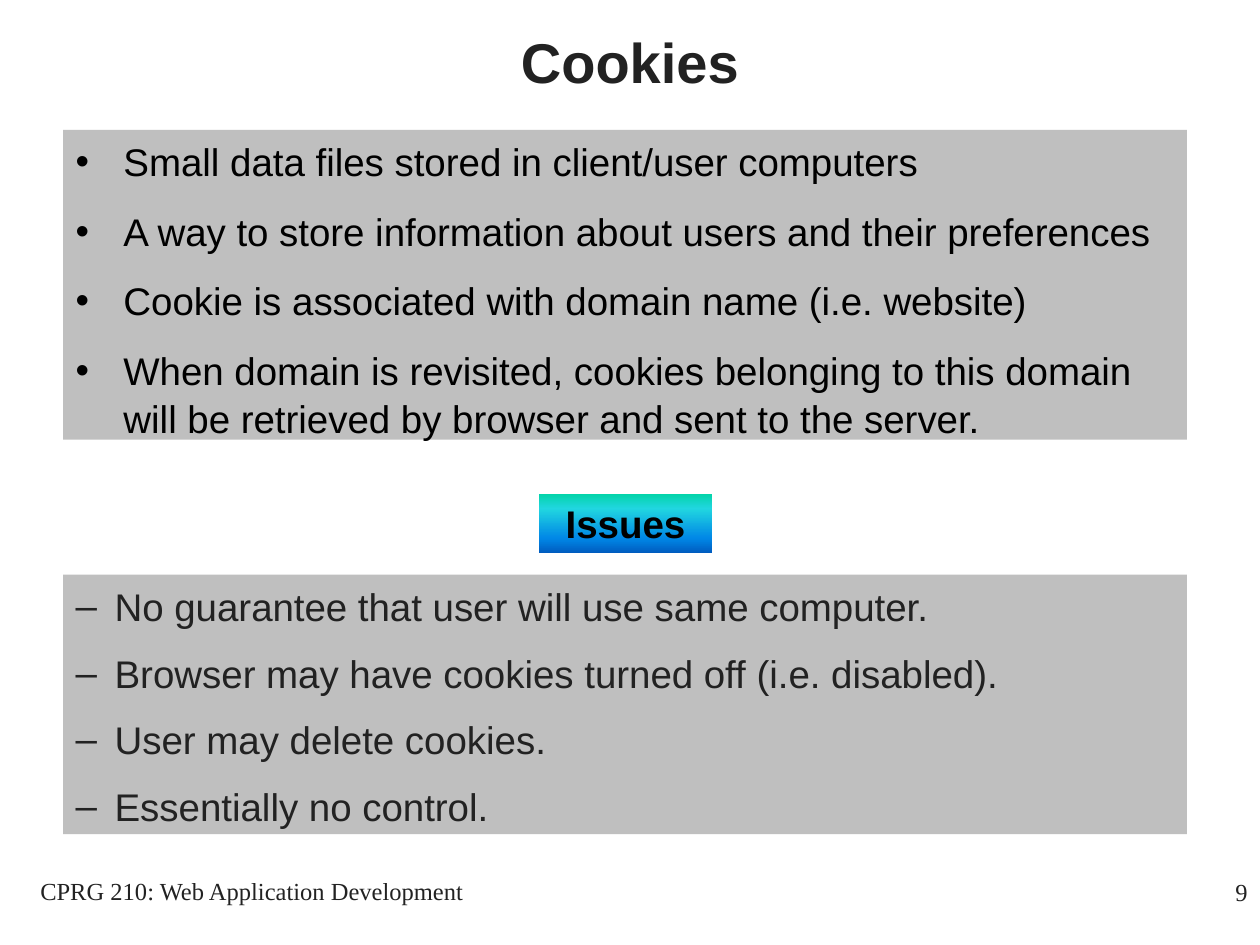
"""Build the Cookies slide: two bulleted panels, a heading box and a footer."""
from dataclasses import dataclass

from lxml import etree
from pptx import Presentation
from pptx.dml.color import RGBColor
from pptx.enum import shapes, text
from pptx.oxml import ns
from pptx.util import Inches, Pt

INK = RGBColor(0x22, 0x22, 0x22)
BLACK = RGBColor(0, 0, 0)
GREY = RGBColor(0xBF, 0xBF, 0xBF)
STOPS = [
    (0, RGBColor(0x03, 0xD4, 0xA8)),
    (25, RGBColor(0x21, 0xD6, 0xE0)),
    (75, RGBColor(0x00, 0x87, 0xE6)),
    (100, RGBColor(0x00, 0x5C, 0xBF)),
]
SERIF, SANS = "Times New Roman", "Arial"


@dataclass
class Panel:
    top: float
    height: float
    color: RGBColor
    mark: str
    indent: float
    level: int
    before: float
    after: float
    items: list[str]


@dataclass
class Note:
    box: tuple[float, float, float, float]
    words: str
    align: text.PP_ALIGN


PANELS = [
    Panel(1.03, 2.46, BLACK, "•", 0.38, 0, 0, 12, [
        "Small data files stored in client/user computers",
        "A way to store information about users and their preferences",
        "Cookie is associated with domain name (i.e. website)",
        "When domain is revisited, cookies belonging to this domain "
        "will be retrieved by browser and sent to the server.",
    ]),
    Panel(4.56, 2.06, INK, "–", 0.31, 1, 4.4, 6, [
        "No guarantee that user will use same computer.",
        "Browser may have cookies turned off (i.e. disabled).",
        "User may delete cookies.",
        "Essentially no control.",
    ]),
]
NOTES = [
    Note((0, 6.9, 4, 0.5), "CPRG 210: Web Application Development",
         text.PP_ALIGN.CENTER),
    Note((7.92, 6.91, 2.08, 0.5), "9", text.PP_ALIGN.RIGHT),
]


def apply(item, **values) -> None:
    for name, value in values.items():
        setattr(item, name, value)


def place(shape, left: float, top: float, width: float, height: float) -> None:
    apply(shape, left=Inches(left), top=Inches(top),
          width=Inches(width), height=Inches(height))


def write(para, words: str, name: str, size: int, color: RGBColor,
          bold: bool = False) -> None:
    run = para.add_run()
    run.text = words
    apply(run.font, name=name, size=Pt(size), bold=bold)
    run.font.color.rgb = color


def add_mark(para, panel: Panel) -> None:
    props = para._p.get_or_add_pPr()
    props.set("marL", str(Inches(panel.indent)))
    props.set("indent", str(-Inches(panel.indent)))
    etree.SubElement(props, ns.qn("a:buFont")).set("typeface", SANS)
    etree.SubElement(props, ns.qn("a:buChar")).set("char", panel.mark)


def draw_panel(shape, panel: Panel) -> None:
    place(shape, 0.5, panel.top, 8.92, panel.height)
    shape.fill.solid()
    shape.fill.fore_color.rgb = GREY
    frame = shape.text_frame
    apply(frame, auto_size=text.MSO_AUTO_SIZE.NONE, word_wrap=True,
          vertical_anchor=text.MSO_ANCHOR.TOP)
    for i, words in enumerate(panel.items):
        para = frame.add_paragraph() if i else frame.paragraphs[0]
        apply(para, level=panel.level, line_spacing=1.05,
              space_before=Pt(panel.before), space_after=Pt(panel.after))
        add_mark(para, panel)
        write(para, words, SANS, 22, panel.color)


def draw_note(slide, note: Note) -> None:
    frame = slide.shapes.add_textbox(*map(Inches, note.box)).text_frame
    frame.word_wrap = True
    para = frame.paragraphs[0]
    para.alignment = note.align
    write(para, note.words, SERIF, 14, INK)


def shade(shape) -> None:
    shape.fill.gradient()
    grad = shape._element.spPr.find(ns.qn("a:gradFill"))
    grad.find(ns.qn("a:lin")).set("ang", str(90 * 60000))
    stops = grad.find(ns.qn("a:gsLst"))
    for old in list(stops):
        stops.remove(old)
    for part, color in STOPS:
        stop = etree.SubElement(stops, ns.qn("a:gs"), pos=str(part * 1000))
        etree.SubElement(stop, ns.qn("a:srgbClr"), val=str(color))


def draw_issues(slide) -> None:
    shape = slide.shapes.add_shape(
        shapes.MSO_SHAPE.RECTANGLE,
        *map(Inches, (4.28, 3.92, 1.37, 0.47)))
    shape.shadow.inherit = False
    shape.line.fill.background()
    shade(shape)
    apply(shape.text_frame, vertical_anchor=text.MSO_ANCHOR.MIDDLE,
          word_wrap=False)
    para = shape.text_frame.paragraphs[0]
    para.alignment = text.PP_ALIGN.CENTER
    write(para, "Issues", SANS, 22, BLACK, True)


def main() -> None:
    deck = Presentation()
    apply(deck, slide_width=Inches(10), slide_height=Inches(7.5))
    slide = deck.slides.add_slide(deck.slide_layouts[3])
    title, *bodies = slide.placeholders
    place(title, 0, -0.14, 10, 1.25)
    title.text_frame.vertical_anchor = text.MSO_ANCHOR.MIDDLE
    para = title.text_frame.paragraphs[0]
    para.alignment = text.PP_ALIGN.CENTER
    write(para, "Cookies", SANS, 32, INK, True)
    for body, panel in zip(bodies, PANELS):
        draw_panel(body, panel)
    draw_issues(slide)
    for note in NOTES:
        draw_note(slide, note)
    deck.save("out.pptx")


if __name__ == "__main__":
    main()
